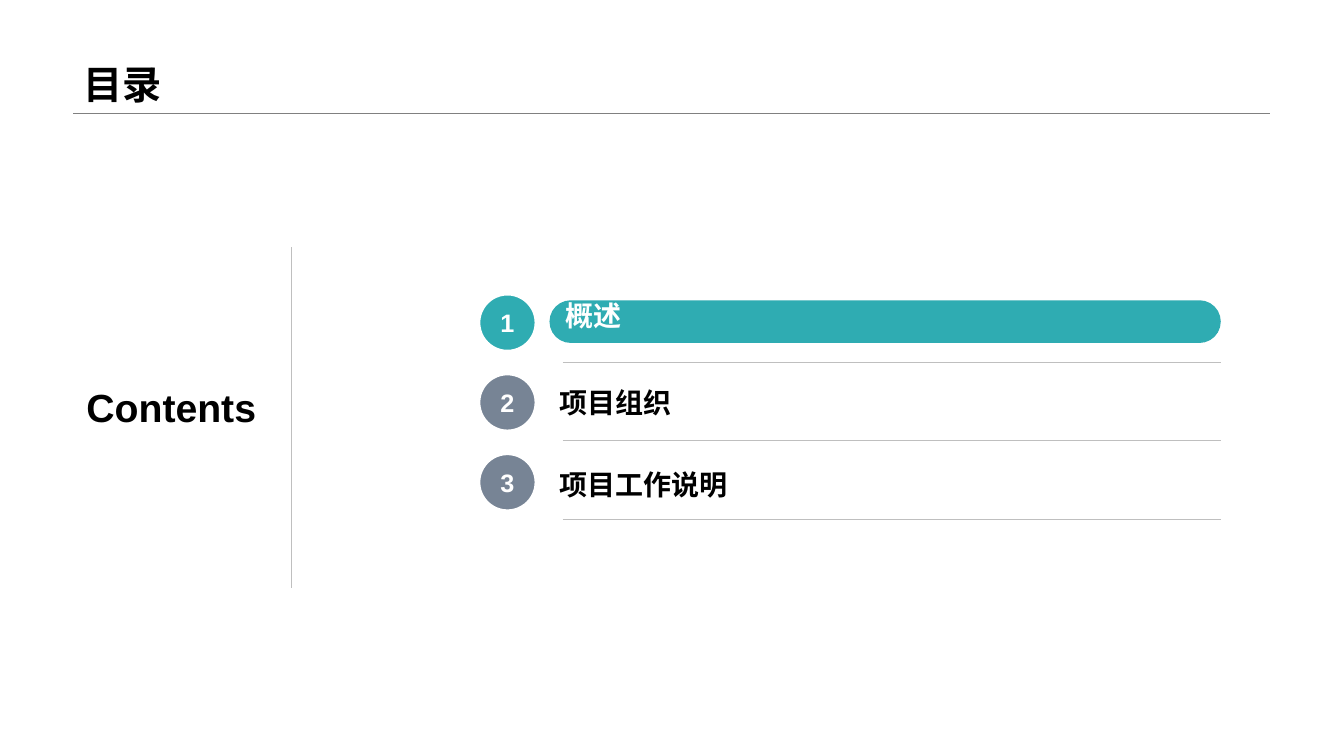
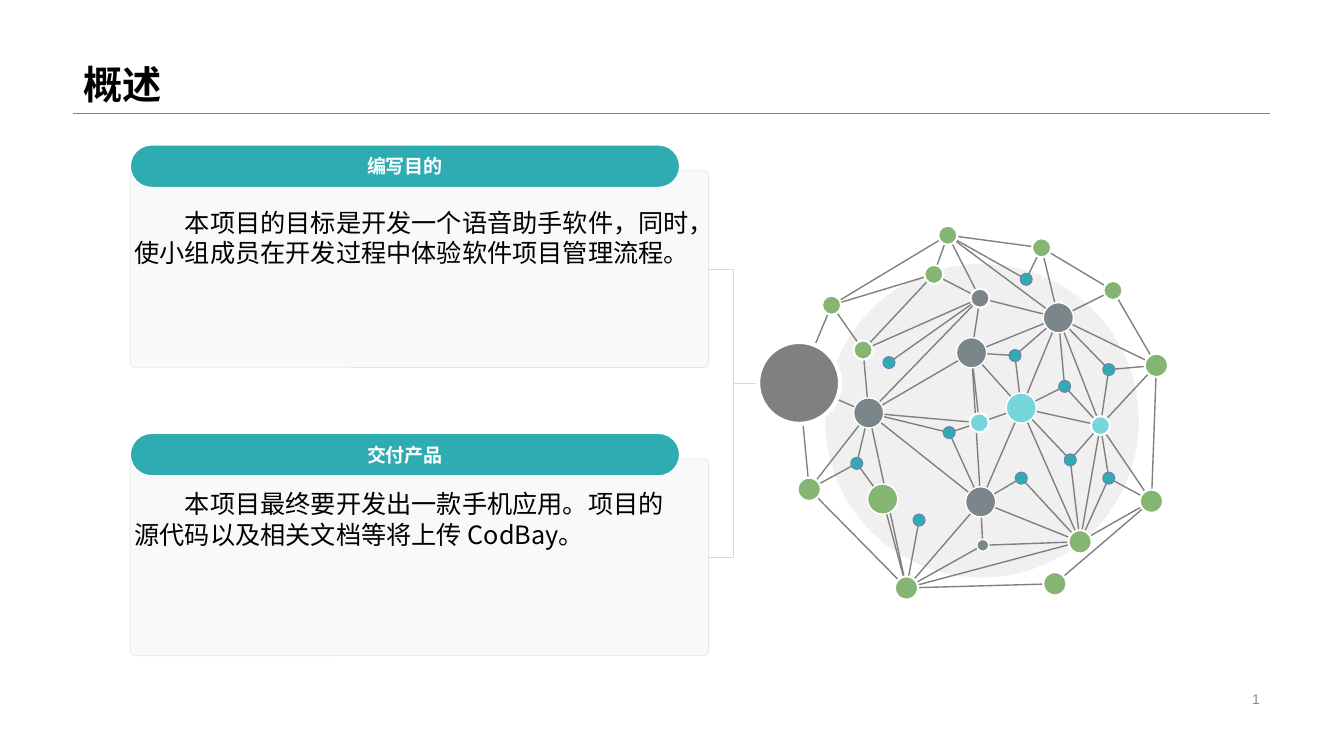
import pptx
import pptx.util
import pptx.dml.color
import pptx.enum.shapes
import pptx.enum.text
import pptx.oxml.ns
import lxml.etree

Pt = pptx.util.Pt
tint = pptx.dml.color.RGBColor.from_string
Form = pptx.enum.shapes.MSO_SHAPE
Link = pptx.enum.shapes.MSO_CONNECTOR
Side = pptx.enum.text.PP_ALIGN
Hold = pptx.enum.text.MSO_ANCHOR
Fit = pptx.enum.text.MSO_AUTO_SIZE
qn = pptx.oxml.ns.qn

TEAL, SLATE, GRAY, WHITE, BLACK = "2FACB2", "778495", "808080", "FFFFFF", "000000"
PALE, RULE, STEEL, AQUA, GREEN = "D9D9D9", "BFBFBF", "7B868A", "77D6DB", "84B571"
BLUE, MIST, HAZE, ASH = "6F81B0", "F2F2F2", "F0F0F0", "8C8C8C"
LEFT, RIGHT, HEAD = 52.5, 907, 81
THIN, PILL = 0.25, 30.5


def paint(item, fill="", rim="", width=1):
    if rim:
        item.line.color.rgb = tint(rim)
        item.line.width = Pt(width)
    else:
        item.line.fill.background()
    if hasattr(item, "fill"):
        item.shadow.inherit = False
        if fill:
            item.fill.solid()
            item.fill.fore_color.rgb = tint(fill)
        else:
            item.fill.background()
    else:
        lxml.etree.SubElement(item._element.spPr, qn("a:effectLst"))
    return item


def write(item, text, size, hue=BLACK, bold=True, align=Side.LEFT,
          hold=Hold.MIDDLE, wrap=True, face="Arial"):
    frame = item.text_frame
    frame.word_wrap = wrap
    frame.vertical_anchor = hold
    para = frame.paragraphs[0]
    para.text = text
    para.alignment = align
    para.font.size = Pt(size)
    para.font.name = face
    para.font.bold = bold
    para.font.color.rgb = tint(hue)
    return para


deck = pptx.Presentation()
deck.slide_width, deck.slide_height = Pt(960), Pt(540)

pages = []
for title in ("目录", "概述"):
    page = deck.slides.add_slide(deck.slide_layouts[6]).shapes
    rule = page.add_connector(Link.STRAIGHT, Pt(LEFT), Pt(HEAD), Pt(RIGHT), Pt(HEAD))
    paint(rule, rim=GRAY, width=THIN)
    head = page.add_textbox(Pt(LEFT), Pt(0), Pt(RIGHT - LEFT), Pt(HEAD))
    write(head, title, 28, hold=Hold.BOTTOM).line_spacing = 0.9
    pages.append(page)
menu, page = pages

label = menu.add_shape(Form.RECTANGLE, Pt(LEFT), Pt(270.5), Pt(137.5), Pt(41))
write(paint(label, WHITE), "Contents", 28, align=Side.RIGHT, hold=Hold.TOP)
split = menu.add_connector(Link.STRAIGHT, Pt(208), Pt(176.5), Pt(208), Pt(420))
paint(split, rim=RULE, width=THIN)

start, span, disc = 392.5, 479.5, 41
items = [
    ("概述", 214.5, PILL, Hold.BOTTOM),
    ("项目组织", 273, PILL, Hold.BOTTOM),
    ("项目工作说明", 329, 34, Hold.MIDDLE),
]
for row, (name, top, tall, hold) in enumerate(items):
    now = row == 0
    dot = menu.add_shape(Form.OVAL, Pt(342), Pt(210 + 57 * row), Pt(disc), Pt(disc))
    paint(dot, TEAL if now else SLATE, WHITE, 2.25)
    write(dot, str(row + 1), 18, WHITE, align=Side.CENTER)

    base = 258.4 + 56.2 * row
    rule = menu.add_connector(Link.STRAIGHT, Pt(402), Pt(base), Pt(start + span), Pt(base))
    paint(rule, rim=RULE, width=THIN)

    place = [Pt(v) for v in (start, top, span, tall)]
    if now:
        entry = menu.add_shape(Form.ROUNDED_RECTANGLE, *place)
        entry.adjustments[0] = 0.5
        paint(entry, TEAL)
    else:
        entry = menu.add_textbox(*place)
    para = write(entry, name, 20, WHITE if now else BLACK, hold=hold)
    if not now:
        para.line_spacing = 0.9 if hold == Hold.BOTTOM else 1

number = page.add_textbox(Pt(678), Pt(491), Pt(RIGHT - 678), Pt(16.5))
write(number, "1", 10, ASH, False, Side.RIGHT)

hub, wide = (570.8, 273.5), 58.6
edge, broad, tall, drop = 93, 413, 141, 18
topics = [
    ("编写目的", 41, 415.5,
     "本项目的目标是开发一个语音助手软件，同时，使小组成员在开发过程中体验软件项目管理流程。"),
    ("交付产品", 36, 409,
     "本项目最终要开发出一款手机应用。项目的源代码以及相关文档等将上传 CodBay。"),
]
for row, (name, gap, span, text) in enumerate(topics):
    top = 103.5 + 206 * row
    card = page.add_shape(Form.ROUNDED_RECTANGLE, Pt(edge), Pt(top + drop), Pt(broad), Pt(tall))
    card.adjustments[0] = 0.024
    paint(card, MIST, PALE, THIN)
    shade = card._element.spPr.find(qn("a:solidFill"))[0]
    lxml.etree.SubElement(shade, qn("a:alpha")).set("val", "40000")

    tab = page.add_shape(Form.ROUNDED_RECTANGLE, Pt(edge), Pt(top), Pt(392.5), Pt(PILL))
    tab.adjustments[0] = 0.5
    write(paint(tab, TEAL, WHITE), name, 13.6, WHITE, align=Side.CENTER, wrap=False)

    note = page.add_textbox(Pt(89), Pt(top + gap), Pt(span), Pt(51))
    para = write(note, text, 18, bold=False, hold=Hold.TOP, face="Noto Sans CJK SC")
    para._p.get_or_add_pPr().set("indent", str(Pt(36)))
    note.text_frame.auto_size = Fit.SHAPE_TO_FIT_TEXT

    bend = page.add_connector(Link.ELBOW, Pt(edge + broad), Pt(top + drop + tall / 2),
                              Pt(hub[0] - wide / 2), Pt(hub[1]))
    bend.begin_connect(card, 3)
    paint(bend, rim=PALE, width=THIN)

globe = page.add_shape(Form.OVAL, Pt(589.5), Pt(188.5), Pt(224), Pt(224))
paint(globe, HAZE)

TINY, SMALL, MEDIUM, LARGE = 8.6, 13.7, 16.6, 21.6
groups = [
    ("tip", TEAL, TINY, [(733, 199.5), (792, 264), (760.5, 276), (725, 254), (678, 309), (635, 259),
                         (612, 331), (656.5, 371.5), (729.5, 341.5), (764.5, 328.5), (792, 341.5)]),
    ("core", STEEL, LARGE, [(756, 227), (694, 252), (620.5, 295), (700.5, 358.5)]),
    ("knot", STEEL, SMALL, [(700, 213)]),
    ("foot", STEEL, TINY, [(702, 389.5)]),
    ("sun", AQUA, LARGE, [(729.5, 291.5)]),
    ("moon", AQUA, SMALL, [(699.5, 302), (786, 304)]),
    ("top", GREEN, SMALL, [(677, 168), (744, 177), (795, 207.5), (594, 218)]),
    ("low", GREEN, MEDIUM, [(826, 261), (822.5, 358), (753.5, 417), (647.5, 420), (578, 349.5)]),
    ("in", GREEN, SMALL, [(667, 196), (616.5, 250)]),
    ("bud", GREEN, MEDIUM, [(771.5, 387)]),
    ("leaf", GREEN, LARGE, [(630.5, 356.5)]),
    ("hub", GRAY, wide, [hub]),
]
spots = {f"{kind}{n}": spot for kind, _, _, dots in groups for n, spot in enumerate(dots, 1)}

strands = [
    "top1 top2 top3 low1 low2 low3 low4 low5 hub1 top4 top1",
    "tip3 moon2 tip2 core1",
    "bud1 tip9 core4 foot1 bud1 sun1 core1 tip3 sun1 tip4 core1 top1",
    "top4 in1 knot1 core1 low1 moon2 low2 bud1 low4",
    "top4 in2 knot1 core2 core4 bud1 moon2 core1 core2 sun1 core4 low4 core3 knot1 top1",
    "in2 core3 hub1",
    "in2 in1 top1 tip1 top2 core1 top3",
    "core3 core4 tip5 moon1 core2 core3 tip5",
    "sun1 tip10 moon2 sun1",
    "tip8 low4 leaf1 tip7 low5 core3 tip7",
    "bud1 tip11 moon2",
    "knot1 tip6", "moon1 core3", "low1 tip2", "low2 tip11",
    "tip10 bud1", "foot1 low4", "tip4 core2", "sun1 moon1",
]
for strand in strands:
    names = strand.split()
    stops = [(Pt(x), Pt(y)) for x, y in map(spots.get, names)]
    if len(stops) == 2:
        wire = page.add_connector(Link.STRAIGHT, *stops[0], *stops[1])
    else:
        pen = page.build_freeform(*stops[0])
        pen.add_line_segments(stops[1:], close=names[0] == names[-1])
        wire = pen.convert_to_shape()
    paint(wire, rim=GRAY)

rims = {TINY: 1, SMALL: 1.5, MEDIUM: 1.5, LARGE: 1, wide: 3}
for kind, fill, size, dots in groups:
    rim, width = (BLUE, 0.75) if kind == "tip" else (WHITE, rims[size])
    for x, y in dots:
        node = page.add_shape(Form.OVAL, Pt(x - size / 2), Pt(y - size / 2), Pt(size), Pt(size))
        paint(node, fill, rim, width)

deck.save("out.pptx")
